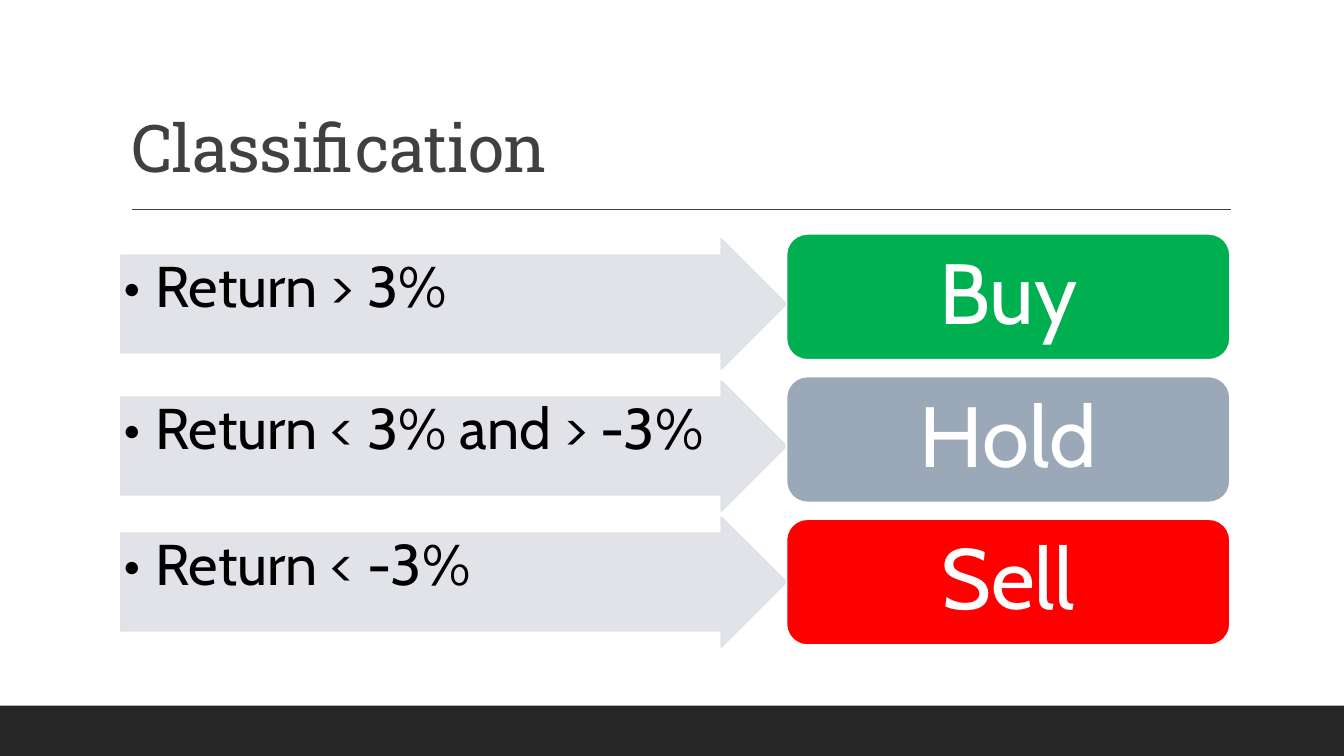
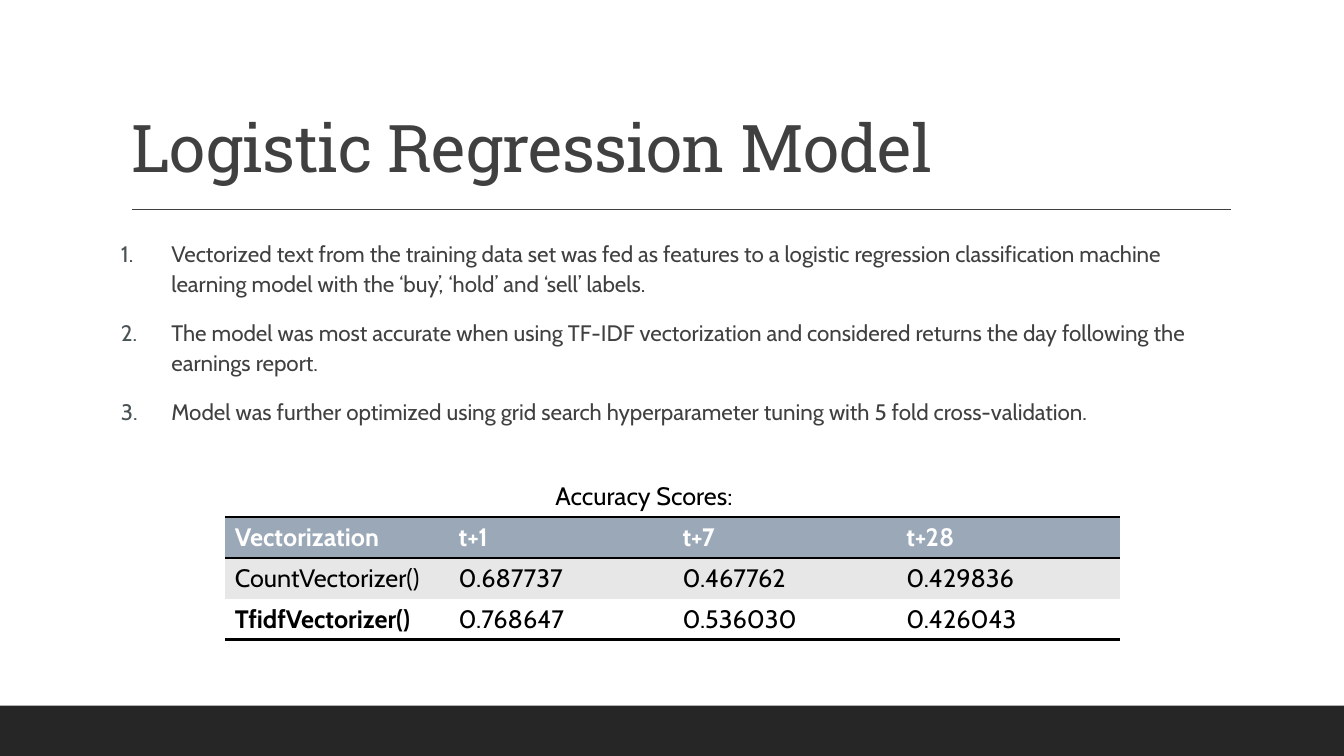
"""Build two slides: return classes and logistic regression scores."""
from lxml.etree import SubElement
from pptx import Presentation
from pptx.dml.color import RGBColor
from pptx.enum.shapes import MSO_CONNECTOR as CONN, MSO_SHAPE as SHAPE
from pptx.enum.text import MSO_ANCHOR as ANCHOR, MSO_AUTO_SIZE as FIT, PP_ALIGN as ALIGN
from pptx.oxml.ns import qn
from pptx.util import Inches, Pt

COLORS = {
    "band": "262626", "title": "404040", "number": "4A5356", "arrow": "DEE1E6",
    "buy": "00B050", "hold": "9BA8B7", "sell": "FF0000",
    "stripe": "E7E7E7", "black": "000000", "white": "FFFFFF",
}
RGB = {name: RGBColor.from_string(value) for name, value in COLORS.items()}
HEAD_FONT, BODY_FONT = "Roboto Slab", "Cabin"
LEFT, WIDTH = Inches(1.2), Inches(11)
NO_STYLE = "{2D5ABB26-0587-4C30-8999-92F81FD0307C}"


def add_run(p, text, size, color, font=BODY_FONT, bold=False):
    r = p.add_run()
    r.text = text
    r.font.size, r.font.name, r.font.bold = Pt(size), font, bold
    r.font.color.rgb = RGB[color]
    return r


def add_bullet(p, indent, color, kind, **attrs):
    pPr = p._p.get_or_add_pPr()
    pPr.set("marL", str(Inches(indent)))
    pPr.set("indent", str(-Inches(indent)))
    SubElement(SubElement(pPr, qn("a:buClr")), qn("a:srgbClr"), val=COLORS[color])
    SubElement(pPr, qn("a:buFont"), typeface=BODY_FONT)
    SubElement(pPr, qn(kind), **attrs)


prs = Presentation()
prs.slide_width, prs.slide_height = Inches(13.33), Inches(7.5)

slides = []
for title, layout in [("Classification", 5), ("Logistic Regression Model", 1)]:
    s = prs.slides.add_slide(prs.slide_layouts[layout])
    slides.append(s)
    band = s.shapes.add_shape(SHAPE.RECTANGLE, 0, Inches(7), prs.slide_width, Inches(0.5))
    band.shadow.inherit = False
    band.fill.solid()
    band.fill.fore_color.rgb = RGB["band"]
    band.line.fill.background()
    rule = s.shapes.add_connector(
        CONN.STRAIGHT, Inches(1.31), Inches(2.08), Inches(12.21), Inches(2.08))
    rule.line.color.rgb = RGB["title"]
    rule.line.width = Pt(1)
    SubElement(rule._element.spPr, qn("a:effectLst"))

    sp = s.shapes.title
    sp.left, sp.top, sp.width, sp.height = LEFT, Inches(0.31), WIDTH, Inches(1.59)
    tf = sp.text_frame
    tf.auto_size, tf.vertical_anchor = FIT.NONE, ANCHOR.BOTTOM
    p = tf.paragraphs[0]
    p.alignment, p.line_spacing = ALIGN.LEFT, 0.9
    r = add_run(p, title, 47, "title", HEAD_FONT)
    r._r.get_or_add_rPr().set("spc", "-50")

classes, model = slides

rows = [
    ("Return > 3%", 2.37, "Buy", "buy"),
    ("Return < 3% and > -3%", 3.78, "Hold", "hold"),
    ("Return < -3%", 5.13, "Sell", "sell"),
]
for i, (rule_text, arrow_top, label, color) in enumerate(rows):
    arrow = classes.shapes.add_shape(
        SHAPE.RIGHT_ARROW, LEFT, Inches(arrow_top), Inches(6.6), Inches(1.29))
    arrow.adjustments[0], arrow.adjustments[1] = 0.75, 0.5
    box = classes.shapes.add_shape(
        SHAPE.ROUNDED_RECTANGLE, Inches(7.8), Inches(2.32 + 1.415 * i), Inches(4.4), Inches(1.25))
    for sp, fill, line in [(arrow, "arrow", "arrow"), (box, color, "white")]:
        sp.shadow.inherit = False
        sp.fill.solid()
        sp.fill.fore_color.rgb = RGB[fill]
        sp.line.color.rgb = RGB[line]
        sp.line.width = Pt(1.25)
    for clr in list(arrow._element.spPr.iter(qn("a:srgbClr"))):
        SubElement(clr, qn("a:alpha"), val="90000")

    tf = arrow.text_frame
    tf.word_wrap, tf.vertical_anchor = True, ANCHOR.TOP
    tf.margin_left = tf.margin_right = tf.margin_top = tf.margin_bottom = Inches(0.03)
    p = tf.paragraphs[0]
    p.alignment, p.line_spacing = ALIGN.LEFT, 0.9
    add_bullet(p, 0.31, "black", "a:buChar", char="•")
    add_run(p, rule_text, 41, "black")

    tf = box.text_frame
    tf.word_wrap, tf.vertical_anchor = True, ANCHOR.MIDDLE
    tf.margin_top = tf.margin_bottom = Inches(0.13)
    p = tf.paragraphs[0]
    p.alignment, p.line_spacing = ALIGN.CENTER, 0.9
    add_run(p, label, 61, "white")

points = [
    "Vectorized text from the training data set was fed as features to a logistic regression "
    "classification machine learning model with the ‘buy’, ‘hold’ and ‘sell’ labels.",
    "The model was most accurate when using TF-IDF vectorization and considered returns "
    "the day following the earnings report.",
    "Model was further optimized using grid search hyperparameter tuning with "
    "5 fold cross-validation.",
]
sp = model.placeholders[1]
sp.left, sp.top, sp.width, sp.height = LEFT, Inches(2.31), WIDTH, Inches(4.11)
tf = sp.text_frame
tf.auto_size = FIT.NONE
tf.margin_left = tf.margin_right = 0
for i, text in enumerate(points):
    p = tf.add_paragraph() if i else tf.paragraphs[0]
    p.line_spacing, p.space_before, p.space_after = 1.1, Pt(12), Pt(2)
    add_bullet(p, 0.5, "number", "a:buAutoNum", type="arabicPeriod")
    add_run(p, text, 16, "title")

scores = [
    ("Vectorization", "t+1", "t+7", "t+28"),
    ("CountVectorizer()", "0.687737", "0.467762", "0.429836"),
    ("TfidfVectorizer()", "0.768647", "0.536030", "0.426043"),
]
row_fills = ["hold", "stripe", "white"]
row_edges = [("a:lnT", "a:lnB"), (), ("a:lnB",)]
table = model.shapes.add_table(
    3, 4, Inches(2.23), Inches(5.13), Inches(8.88), Inches(1.2)).table
table.horz_banding = False
table._tbl.tblPr.find(qn("a:tableStyleId")).text = NO_STYLE
for i, values in enumerate(scores):
    for j, value in enumerate(values):
        cell = table.cell(i, j)
        tcPr = cell._tc.get_or_add_tcPr()
        for edge in row_edges[i]:
            ln = SubElement(tcPr, qn(edge), w=str(Pt(2)))
            SubElement(SubElement(ln, qn("a:solidFill")), qn("a:srgbClr"), val=COLORS["black"])
        cell.fill.solid()
        cell.fill.fore_color.rgb = RGB[row_fills[i]]
        bold = i == 0 or (i == 2 and j == 0)
        add_run(cell.text_frame.paragraphs[0], value, 18, "black" if i else "white", bold=bold)

caption = model.shapes.add_textbox(Inches(5.41), Inches(4.72), Inches(2.51), Inches(0.4))
caption.text_frame.word_wrap = True
add_run(caption.text_frame.paragraphs[0], "Accuracy Scores:", 18, "black")

prs.save("out.pptx")
